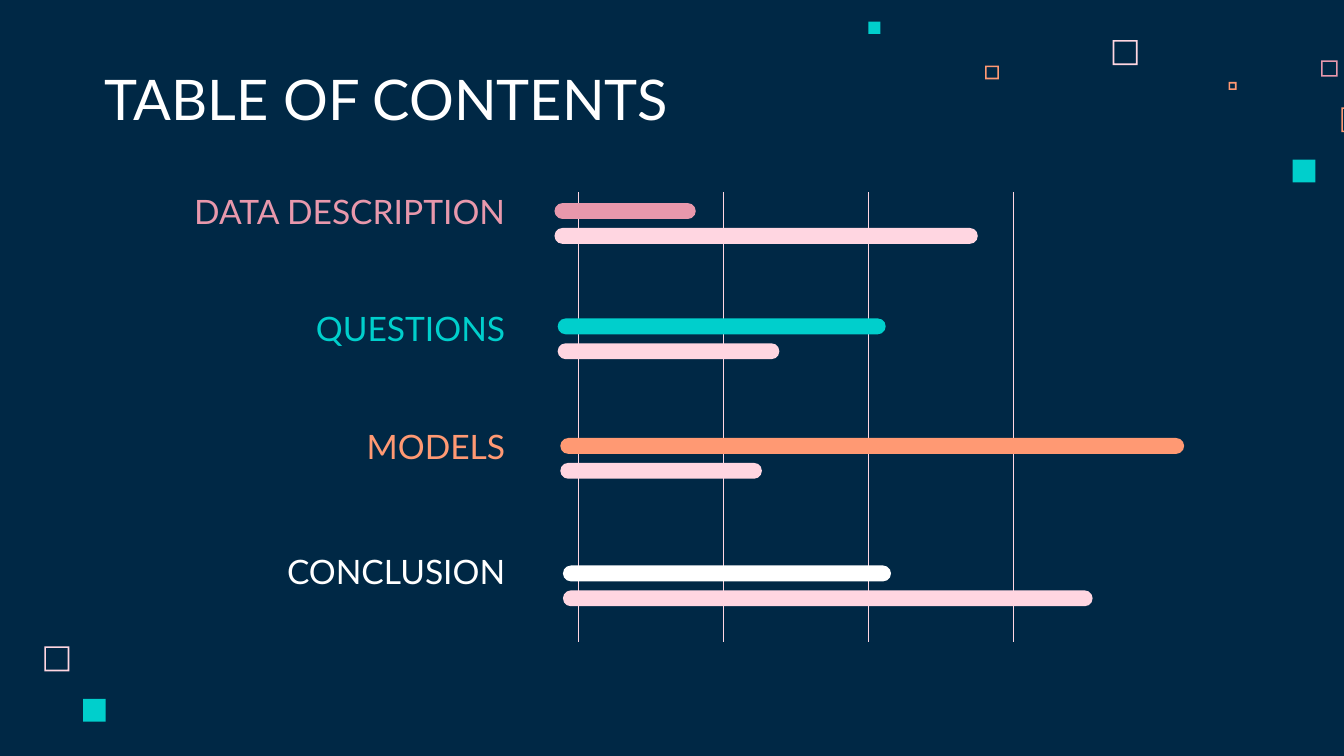
"""Build the table of contents slide with paired bars and scattered squares."""
from lxml import etree
from pptx import Presentation
from pptx.dml.color import RGBColor
from pptx.enum import shapes, text
from pptx.oxml import ns
from pptx.util import Cm, Pt

NAVY, WHITE, BLUSH = "002845", "FFFFFF", "FFD6E1"
ROSE, TEAL, ORANGE = "E898AC", "00CFCC", "FF9973"


def paint(fill, color):
    fill.solid()
    fill.fore_color.rgb = RGBColor.from_string(color)


def write(holder, words, size, color, align):
    frame = holder.text_frame
    frame.text = words
    frame.word_wrap = True
    frame.auto_size = text.MSO_AUTO_SIZE.NONE
    frame.vertical_anchor = text.MSO_ANCHOR.BOTTOM
    frame.margin_left = frame.margin_right = Cm(0.25)
    frame.margin_top = frame.margin_bottom = Cm(0.25)
    frame.paragraphs[0].alignment = align
    font = frame.paragraphs[0].runs[0].font
    font.name, font.size = "Lato", Pt(size)
    font.color.rgb = RGBColor.from_string(color)


deck = Presentation()
deck.slide_width, deck.slide_height = Cm(25.4), Cm(14.29)
slide = deck.slides.add_slide(deck.slide_layouts[5])
paint(slide.background.fill, NAVY)

heading = slide.shapes.title
heading.left, heading.top = Cm(1.73), Cm(1.14)
heading.width, heading.height = Cm(13.13), Cm(1.6)
write(heading, "TABLE OF CONTENTS", 30, WHITE, text.PP_ALIGN.LEFT)

squares = [
    (21.03, 0.76, 0.47, BLUSH, True),
    (24.97, 1.14, 0.31, ROSE, True),
    (23.22, 1.55, 0.15, ORANGE, True),
    (25.35, 2.03, 0.47, ORANGE, True),
    (24.43, 3.02, 0.43, TEAL, False),
    (18.62, 1.24, 0.26, ORANGE, True),
    (16.41, 0.41, 0.23, TEAL, False),
    (0.84, 12.22, 0.47, BLUSH, True),
    (1.57, 13.21, 0.43, TEAL, False),
]
for left, top, side, color, hollow in squares:
    preset = shapes.MSO_SHAPE.FRAME if hollow else shapes.MSO_SHAPE.RECTANGLE
    square = slide.shapes.add_shape(preset, Cm(left), Cm(top), Cm(side), Cm(side))
    if hollow:
        square.adjustments[0] = 0.03 / side
    paint(square.fill, color)
    square.line.fill.background()
    square.shadow.inherit = False

for column in range(4):
    x = Cm(10.93 + 2.74 * column)
    gridline = slide.shapes.add_connector(
        shapes.MSO_CONNECTOR.STRAIGHT, x, Cm(3.63), x, Cm(12.14))
    paint(gridline.line.fill, BLUSH)
    gridline.line.width = Pt(0.25)
    etree.SubElement(gridline._element.spPr, ns.qn("a:effectLst"))

sections = [
    ("DATA DESCRIPTION", ROSE, 3.53, 10.48, 3.84, 2.67, 8),
    ("QUESTIONS", TEAL, 5.74, 10.54, 6.02, 6.2, 4.19),
    ("MODELS", ORANGE, 7.98, 10.59, 8.28, 11.79, 3.81),
    ("CONCLUSION", WHITE, 10.34, 10.64, 10.69, 6.2, 10.01),
]
for name, color, label_top, left, top, upper_length, lower_length in sections:
    for y, length, shade in ((top, upper_length, color),
                             (top + 0.47, lower_length, BLUSH)):
        bar = slide.shapes.add_shape(shapes.MSO_SHAPE.ROUNDED_RECTANGLE,
                                     Cm(left), Cm(y), Cm(length), Cm(0.3))
        bar.adjustments[0] = 0.5
        paint(bar.fill, shade)
        bar.line.fill.background()
        bar.shadow.inherit = False
    label = slide.shapes.add_textbox(Cm(3.4), Cm(label_top), Cm(6.4), Cm(1.09))
    write(label, name, 18, color, text.PP_ALIGN.RIGHT)

deck.save("out.pptx")
